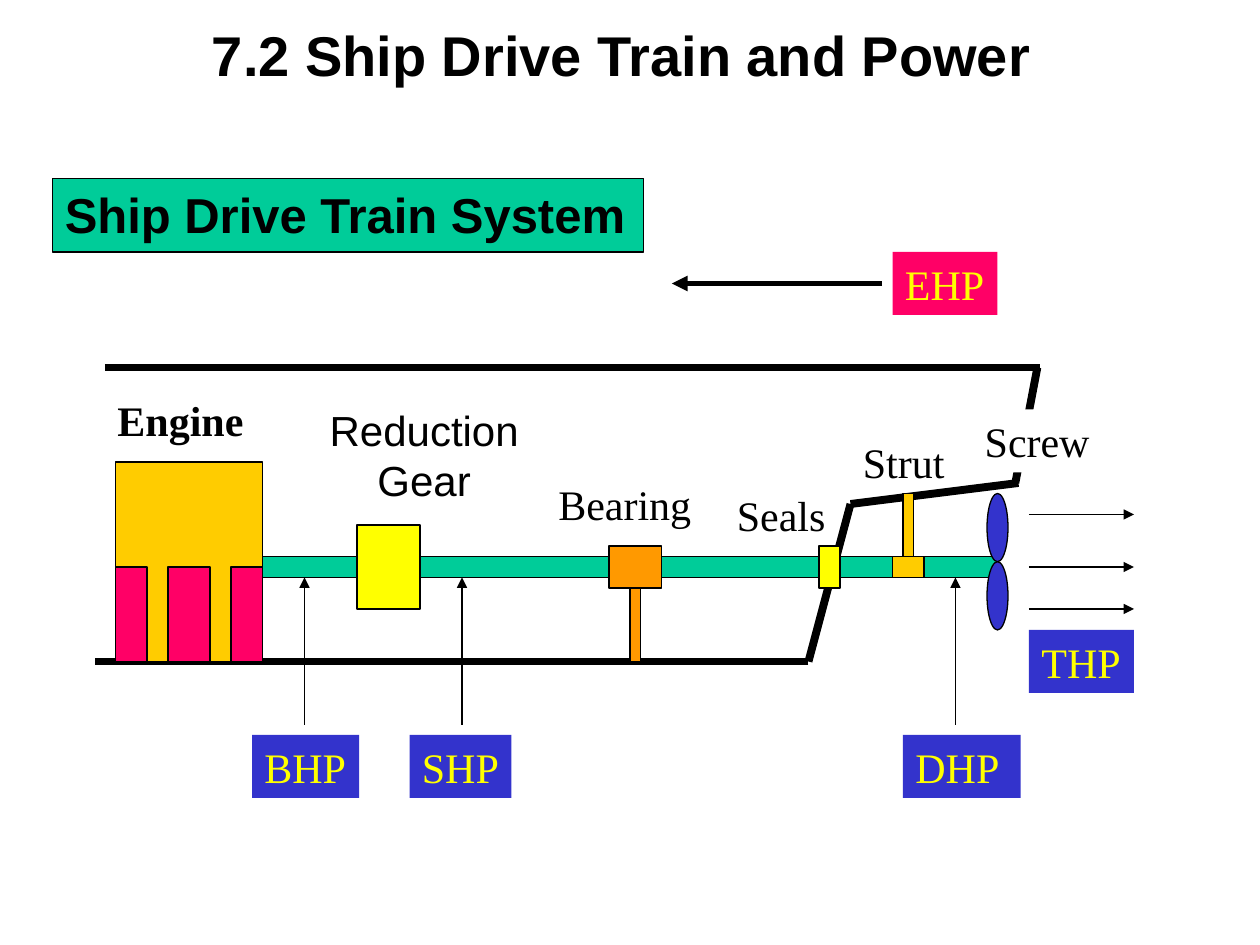
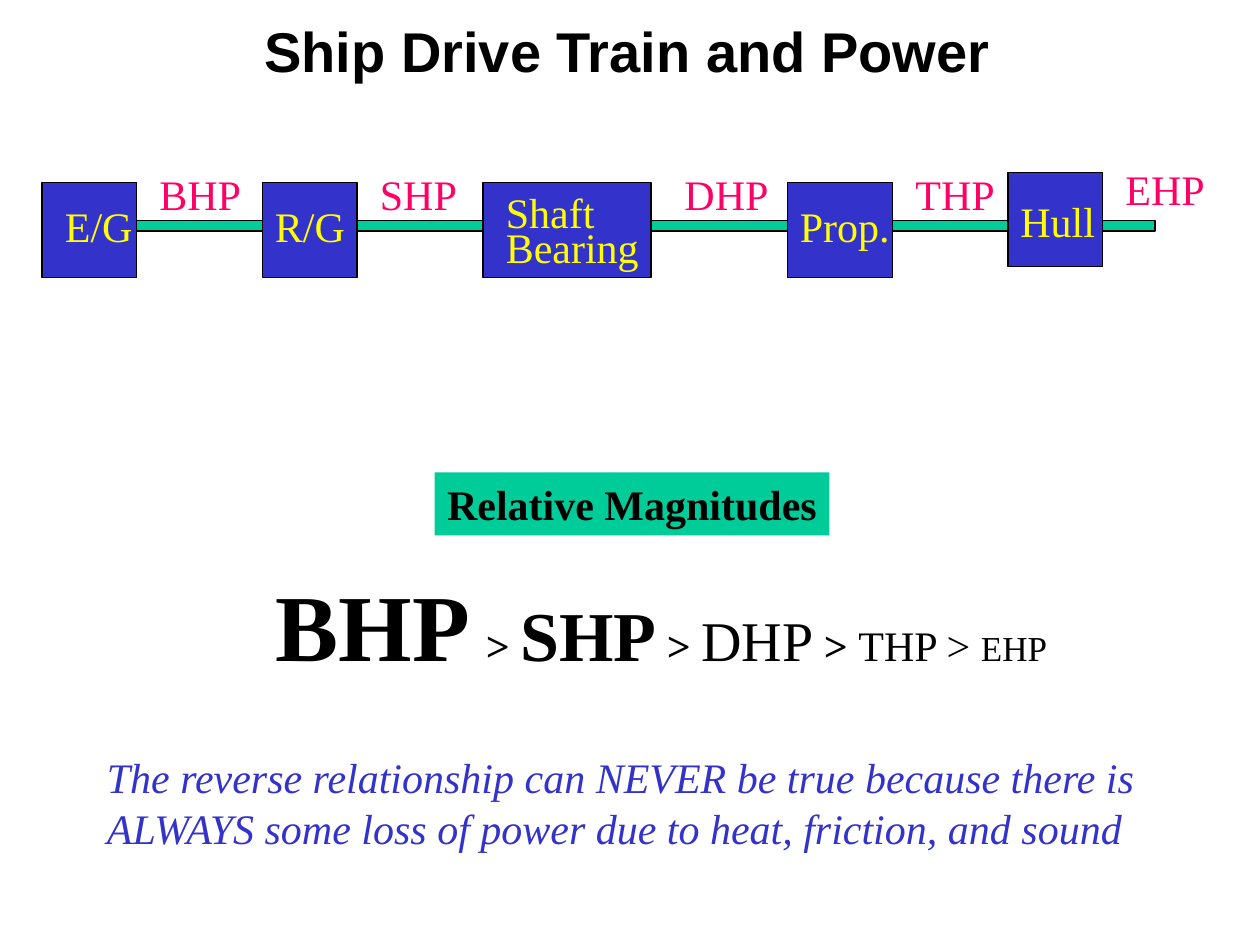
from lxml import etree
from pptx import Presentation
from pptx import util as u
from pptx.dml.color import RGBColor
from pptx.enum import shapes, text
from pptx.oxml.ns import qn

PX = 7620  # EMU per px, 120 px to the inch
BLACK, WHITE = "000000", "FFFFFF"
GREEN, BLUE, PINK = "00CC99", "3333CC", "FF0066"
YELLOW, GOLD, ORANGE = "FFFF00", "FFCC00", "FF9900"
SANS, SERIF = "Arial", "Times New Roman"
RECT, OVAL = shapes.MSO_SHAPE.RECTANGLE, shapes.MSO_SHAPE.OVAL


def px(*values):
    return [u.Emu(v * PX) for v in values]


def rgb(value):
    return RGBColor.from_string(value)


def style(r, size, color=BLACK, font=SERIF, bold=False, italic=False):
    r.font.size, r.font.name = u.Pt(size), font
    r.font.color.rgb = rgb(color)
    r.font.bold, r.font.italic = bold, italic


def part(s, x, y, w, h, fill, kind=RECT):
    """Add a filled, outlined piece of machinery."""
    sp = s.shapes.add_shape(kind, *px(x, y, w, h))
    sp.shadow.inherit = False
    sp.fill.solid()
    sp.fill.fore_color.rgb = rgb(fill)
    sp.line.color.rgb = rgb(BLACK)
    sp.line.width = u.Pt(0.75)
    return sp


def label(s, content, x, y, w, h=60, size=24, fill=None, centred=False,
          spacing=None, **look):
    """Add a text box with one paragraph per line of content."""
    sp = s.shapes.add_textbox(*px(x, y, w, h))
    if fill:
        sp.fill.solid()
        sp.fill.fore_color.rgb = rgb(fill)
    tf = sp.text_frame
    tf.word_wrap = True
    tf.text = content
    if not centred:
        tf.margin_right = 0
    for p in tf.paragraphs:
        p.alignment = text.PP_ALIGN.CENTER if centred else text.PP_ALIGN.LEFT
        if spacing:
            p.line_spacing = spacing
        for r in p.runs:
            style(r, size, **look)
    return sp


def title(s, content, x, y, w):
    label(s, content, x, y, w, 75, size=32, font=SANS, bold=True)


def line(s, start, end, width=0.75, arrow=False):
    c = s.shapes.add_connector(shapes.MSO_CONNECTOR.STRAIGHT,
                               *px(*start, *end))
    c.line.color.rgb = rgb(BLACK)
    c.line.width = u.Pt(width)
    if arrow:
        etree.SubElement(c.line._get_or_add_ln(), qn("a:tailEnd"),
                         type="triangle")
    etree.SubElement(c._element.spPr, qn("a:effectLst"))


def power_tag(s, content, x, y, w, fill=BLUE):
    label(s, content, x, y, w, fill=fill, color=YELLOW)


def hull(s):
    for start, end in [((100, 350), (990, 350)), ((988, 350), (967, 460)),
                       ((970, 460), (810, 480)), ((810, 480), (770, 630)),
                       ((770, 630), (90, 630))]:
        line(s, start, end, 4.5)


def machinery(s):
    part(s, 110, 440, 140, 190, GOLD)      # engine
    part(s, 250, 530, 700, 20, GREEN)      # shaft
    part(s, 340, 500, 60, 80, YELLOW)      # reduction gear
    part(s, 780, 520, 20, 40, YELLOW)      # seals
    part(s, 580, 520, 50, 40, ORANGE)      # bearing
    part(s, 600, 560, 10, 70, ORANGE)
    part(s, 860, 470, 10, 60, GOLD)        # strut
    part(s, 850, 530, 30, 20, GOLD)
    for y in (470, 535):                   # screw blades
        part(s, 940, y, 20, 65, BLUE, OVAL)
    for x, w in [(110, 30), (160, 40), (220, 30)]:  # engine feet
        part(s, x, 540, w, 90, PINK)


def drive_train_slide(prs):
    s = prs.slides.add_slide(prs.slide_layouts[6])
    title(s, "7.2 Ship Drive Train and Power", 190, 14, 805)
    part(s, 50, 170, 563, 70, GREEN)
    label(s, "Ship Drive Train System", 50, 170, 563, 70, size=28,
          font=SANS, bold=True)
    hull(s)
    machinery(s)
    label(s, "Engine", 100, 370, 157, bold=True)
    label(s, "Reduction\nGear", 302, 379, 204, 108, font=SANS, centred=True)
    label(s, "Bearing", 520, 450, 151)
    label(s, "Seals", 690, 460, 108)
    label(s, "Screw", 926, 390, 124, fill=WHITE)
    label(s, "Strut", 810, 410, 102)

    for name, x, w, arrow_x in [("BHP", 240, 102, 290), ("SHP", 390, 97, 440),
                                ("DHP", 860, 112, 910)]:
        power_tag(s, name, x, 700, w)
        line(s, (arrow_x, 690), (arrow_x, 550), arrow=True)
    power_tag(s, "THP", 980, 600, 100)
    for y in (490, 540, 580):
        line(s, (980, y), (1080, y), arrow=True)
    power_tag(s, "EHP", 850, 240, 100, PINK)
    line(s, (840, 270), (640, 270), 3, arrow=True)


def power_chain(s):
    part(s, 130, 210, 970, 10, GREEN)
    for x, y, w in [(40, 174, 90), (250, 174, 90), (460, 174, 160),
                    (750, 174, 100), (960, 164, 90)]:
        part(s, x, y, w, 90, BLUE)
    for name, x, y, w in [("E/G", 50, 185, 90), ("R/G", 250, 185, 92),
                          ("Prop.", 750, 185, 110), ("Hull", 960, 180, 96)]:
        label(s, name, x, y, w, color=YELLOW)
    label(s, "Shaft\nBearing", 470, 185, 152, 79, spacing=0.7, color=YELLOW)
    for name, x, y in [("BHP", 140, 155), ("SHP", 350, 155),
                       ("DHP", 640, 155), ("THP", 860, 155),
                       ("EHP", 1060, 150)]:
        label(s, name, x, y, 104, color=PINK)


def magnitudes(s):
    label(s, "Relative Magnitudes", 414, 450, 376, fill=GREEN, bold=True)
    p = label(s, "", 251, 534, 780, 120).text_frame.paragraphs[0]
    for content, size, bold in [("BHP", 54, True), (" ", 36, True),
                                ("> ", 24, True), ("SHP", 40, True),
                                (" > ", 24, True), ("DHP", 32, False),
                                (" > ", 24, True), ("THP > ", 24, False),
                                ("EHP", 20, False)]:
        r = p.add_run()
        r.text = content
        style(r, size, bold=bold)


def power_slide(prs):
    s = prs.slides.add_slide(prs.slide_layouts[6])
    title(s, "Ship Drive Train and Power", 240, 10, 716)
    magnitudes(s)
    power_chain(s)
    label(s, "The reverse relationship can NEVER be true because there is\n"
          "ALWAYS some loss of power due to heat, friction, and sound",
          90, 710, 1016, 108, color=BLUE, italic=True)


def main():
    prs = Presentation()
    prs.slide_width, prs.slide_height = px(1200, 900)
    drive_train_slide(prs)
    power_slide(prs)
    prs.save("out.pptx")


if __name__ == "__main__":
    main()
